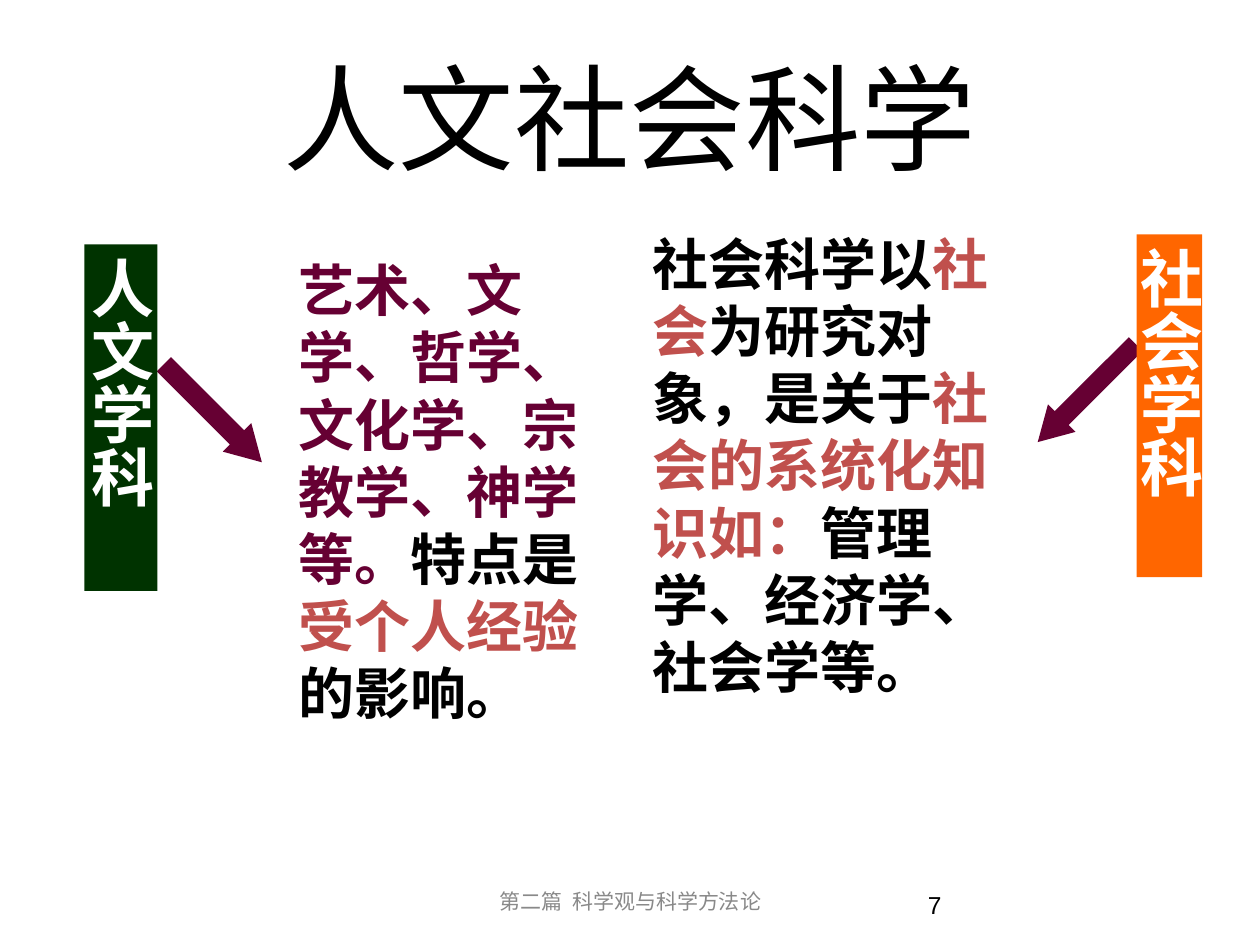
"""Build the slide on the humanities and social sciences."""
from pptx import Presentation
from pptx.dml.color import RGBColor
from pptx.enum.shapes import MSO_SHAPE
from pptx.enum.text import MSO_ANCHOR, MSO_AUTO_SIZE, PP_ALIGN
from pptx.util import Inches, Pt

LEFT, CENTER, RIGHT = PP_ALIGN.LEFT, PP_ALIGN.CENTER, PP_ALIGN.RIGHT
TOP, MIDDLE = MSO_ANCHOR.TOP, MSO_ANCHOR.MIDDLE
RECT, DOWN_ARROW = MSO_SHAPE.RECTANGLE, MSO_SHAPE.DOWN_ARROW
TITLE_ONLY = 5
COLORS = {
    "black": "000000", "white": "FFFFFF", "gray": "898989", "plum": "660033",
    "red": "C0504D", "green": "003300", "orange": "FF6600",
}


def fill_text(tf, runs, size, align, anchor=MIDDLE, bold=False, font="Arial"):
    tf.word_wrap = True
    tf.vertical_anchor = anchor
    p = tf.paragraphs[0]
    p.alignment = align
    p._p.get_or_add_pPr().set("hangingPunct", "0")
    for text, color in runs:
        r = p.add_run()
        r.text = text
        r.font.name = font
        r.font.size = Pt(size)
        r.font.bold = bold
        r.font.color.rgb = RGBColor.from_string(COLORS[color])


def add_block(s, kind, box, color):
    sp = s.shapes.add_shape(kind, *map(Inches, box))
    sp.shadow.inherit = False
    sp.fill.solid()
    sp.fill.fore_color.rgb = RGBColor.from_string(COLORS[color])
    sp.line.fill.background()
    return sp


prs = Presentation()
prs.slide_width, prs.slide_height = Inches(10), Inches(7.5)
s = prs.slides.add_slide(prs.slide_layouts[TITLE_ONLY])

title = s.shapes.title
title.left, title.top = Inches(0.5), Inches(0.3)
title.width, title.height = Inches(9), Inches(1.25)
fill_text(title.text_frame, [("人文社会科学", "black")], 66, CENTER, font="Calibri")

footers = [
    ((3.42, 6.95, 3.17, 0.4), "第二篇  科学观与科学方法论", 12, CENTER, "gray"),
    ((5.24, 6.98, 2.33, 0.4), "7", 14, RIGHT, "black"),
]
for box, text, size, align, color in footers:
    tf = s.shapes.add_textbox(*map(Inches, box)).text_frame
    fill_text(tf, [(text, color)], size, align)

arrows = [((8.47, 2.57, 0.31, 1.1), 45), ((1.53, 2.73, 0.32, 1.1), 315)]
for box, angle in arrows:
    arrow = add_block(s, DOWN_ARROW, box, "plum")
    arrow.rotation = angle
    arrow.adjustments[0] = 0.5
    arrow.adjustments[1] = 0.87

labels = [
    ((0.67, 1.94, 0.58, 2.75), "人文学科", "green"),
    ((9.02, 1.86, 0.52, 2.72), "社会学科", "orange"),
]
for box, text, color in labels:
    tf = add_block(s, RECT, box, color).text_frame
    tf.margin_left = tf.margin_right = Inches(0.05)
    tf.margin_top = tf.margin_bottom = Inches(0.1)
    tf._txBody.bodyPr.set("vert", "eaVert")
    fill_text(tf, [(text, "white")], 36, CENTER, bold=True)

descriptions = [
    ((2.27, 1.98, 2.68, 3.3), [
        ("艺术、文学、哲学、文化学、宗教学、神学等。", "plum"),
        ("特点是", "black"),
        ("受个人经验", "red"),
        ("的影响。", "black"),
    ]),
    ((5.08, 1.77, 3.31, 3.3), [
        ("社会科学以", "black"),
        ("社会", "red"),
        ("为研究对象，是关于", "black"),
        ("社会的系统化知识如：", "red"),
        ("管理学、经济学、社会学等。", "black"),
    ]),
]
for box, runs in descriptions:
    tf = s.shapes.add_textbox(*map(Inches, box)).text_frame
    tf.auto_size = MSO_AUTO_SIZE.SHAPE_TO_FIT_TEXT
    fill_text(tf, runs, 32, LEFT, TOP, bold=True)

prs.save("out.pptx")
